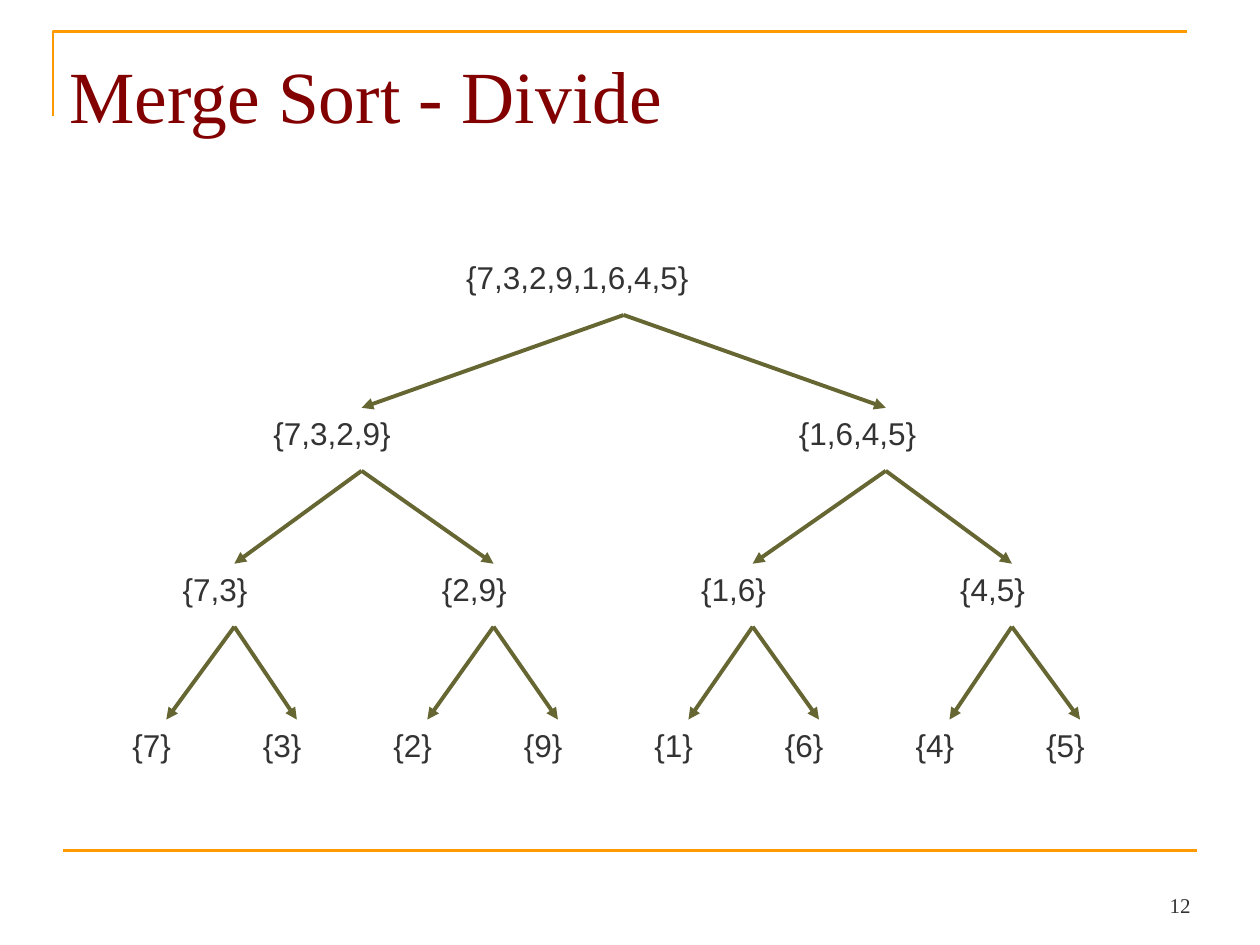
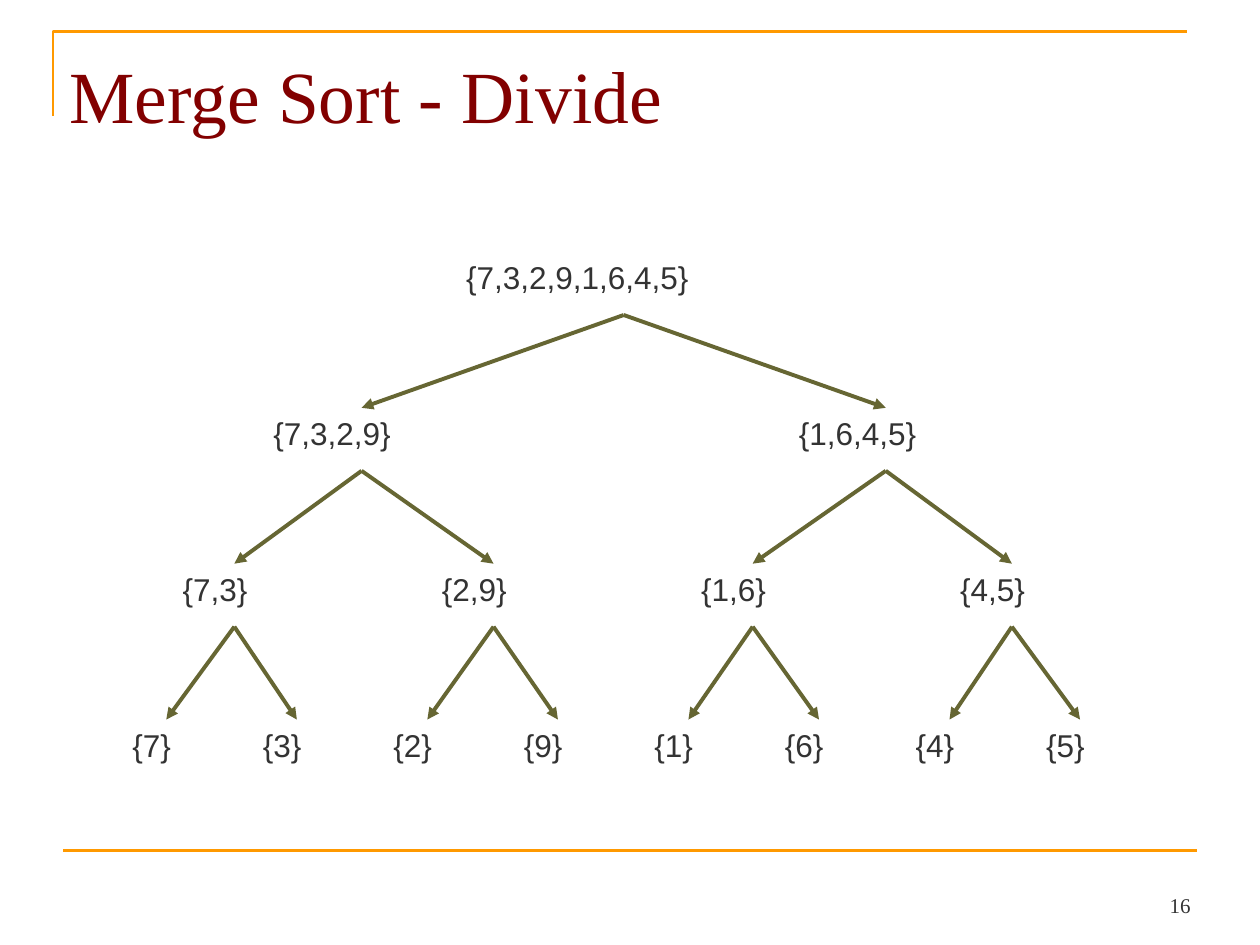
import dataclasses
import lxml.etree
import pptx
import pptx.dml.color
import pptx.enum.shapes
import pptx.enum.text
import pptx.oxml.ns
import pptx.util

ANCHOR = pptx.enum.text.MSO_ANCHOR
ALIGN = pptx.enum.text.PP_ALIGN
COLS, ROWS = 100, 75
VALUES = [7, 3, 2, 9, 1, 6, 4, 5]
TOP, DROP, STEM = 20, 12.37, 5


@dataclasses.dataclass(frozen=True)
class Theme:
    frame: str = "FF9900"
    title: str = "820000"
    ink: str = "333333"
    arrow: str = "666633"
    serif: str = "Times New Roman"
    sans: str = "Arial"
    title_size: float = 42
    node_size: float = 18
    page_size: float = 12
    frame_width: float = 1.5
    arrow_width: float = 2.25
    inset: float = 0.05
    title_inset: float = 0.1


@dataclasses.dataclass(frozen=True)
class Level:
    left: float
    gap: float
    width: float
    joint: float
    spread: float

    def box_at(self, index):
        return self.left + index * self.gap

    def joint_at(self, index):
        return self.joint + index * self.spread


LEVELS = [
    Level(36.5, 0, 18.8, 49.5, 0),
    Level(21.2, 41.7, 10.5, 28.7, 41.6),
    Level(14, 20.57, 6.3, 18.6, 20.57),
    Level(10, 10.36, 4.2, 13.2, 10.36),
]


class Deck:
    def __init__(self, theme):
        self.theme = theme
        self.show = pptx.Presentation()
        self.show.slide_width = pptx.util.Inches(10)
        self.show.slide_height = pptx.util.Inches(7.5)
        self.slide = None

    def spot(self, col, row):
        return (round(self.show.slide_width * col / COLS),
                round(self.show.slide_height * row / ROWS))

    def start(self, title, page):
        self.slide = self.show.slides.add_slide(self.show.slide_layouts[5])
        self.corner([(4.2, 9.2), (4.2, 2.5), (94.2, 2.5)])
        self.line(self.slide.shapes, (5, 67.5), (95, 67.5),
                  self.theme.frame, self.theme.frame_width)
        box = self.text(self.slide.shapes, (92.3, 70.5), (2.7, 2.8), page,
                        self.theme.serif, self.theme.page_size)
        box.text_frame.vertical_anchor = ANCHOR.BOTTOM
        box.text_frame.paragraphs[0].alignment = ALIGN.RIGHT
        self.title(title)

    def title(self, words):
        shape = self.slide.shapes.title
        shape.left, shape.top = self.spot(5, 3)
        shape.width, shape.height = self.spot(90, 10.3)
        self.style(shape.text_frame, words, self.theme.serif,
                   self.theme.title_size, self.theme.title)
        shape.text_frame.margin_top = pptx.util.Inches(self.theme.title_inset)
        shape.text_frame.vertical_anchor = ANCHOR.TOP
        shape.text_frame.word_wrap = True
        shape.text_frame.auto_size = pptx.enum.text.MSO_AUTO_SIZE.NONE
        shape.text_frame.paragraphs[0].alignment = ALIGN.LEFT

    def style(self, frame, words, face, size, color):
        frame.text = words
        inset = pptx.util.Inches(self.theme.inset)
        frame.margin_left = frame.margin_right = inset
        frame.margin_top = frame.margin_bottom = inset
        for run in frame.paragraphs[0].runs:
            run.font.name = face
            run.font.size = pptx.util.Pt(size)
            run.font.color.rgb = pptx.dml.color.RGBColor.from_string(color)

    def text(self, home, place, size, words, face, points):
        box = home.add_textbox(*self.spot(*place), *self.spot(*size))
        self.style(box.text_frame, words, face, points, self.theme.ink)
        box.text_frame.word_wrap = False
        box.text_frame.auto_size = pptx.enum.text.MSO_AUTO_SIZE.SHAPE_TO_FIT_TEXT
        return box

    def stroke(self, line, color, width):
        line.color.rgb = pptx.dml.color.RGBColor.from_string(color)
        line.width = pptx.util.Pt(width)

    def corner(self, points):
        first, *rest = [self.spot(*point) for point in points]
        path = self.slide.shapes.build_freeform(*first)
        path.add_line_segments(rest, close=False)
        shape = path.convert_to_shape()
        shape.shadow.inherit = False
        shape.fill.background()
        self.stroke(shape.line, self.theme.frame, self.theme.frame_width)

    def line(self, home, begin, end, color, width):
        link = home.add_connector(pptx.enum.shapes.MSO_CONNECTOR.STRAIGHT,
                                  *self.spot(*begin), *self.spot(*end))
        self.stroke(link.line, color, width)
        lxml.etree.SubElement(link._element.spPr, pptx.oxml.ns.qn("a:effectLst"))
        return link

    def arrow(self, home, begin, end):
        link = self.line(home, begin, end, self.theme.arrow, self.theme.arrow_width)
        lxml.etree.SubElement(link.line._get_or_add_ln(),
                              pptx.oxml.ns.qn("a:tailEnd"), type="triangle")

    def tree(self, values):
        for depth, level in enumerate(LEVELS):
            home = self.slide.shapes
            if depth:
                home = home.add_group_shape().shapes
            top = TOP + depth * DROP
            count = 2 ** depth
            size = len(values) // count
            for index in range(count):
                part = values[index * size:(index + 1) * size]
                words = "{" + ",".join(map(str, part)) + "}"
                self.text(home, (level.box_at(index), top), (level.width, 3.8),
                          words, self.theme.sans, self.theme.node_size)
            if depth:
                above = LEVELS[depth - 1]
                for index in range(count):
                    self.arrow(home, (above.joint_at(index // 2), top - DROP + STEM),
                               (level.joint_at(index), top))


def main():
    deck = Deck(Theme())
    for page in ("12", "16"):
        deck.start("Merge Sort - Divide", page)
        deck.tree(VALUES)
    deck.show.save("out.pptx")


if __name__ == "__main__":
    main()
